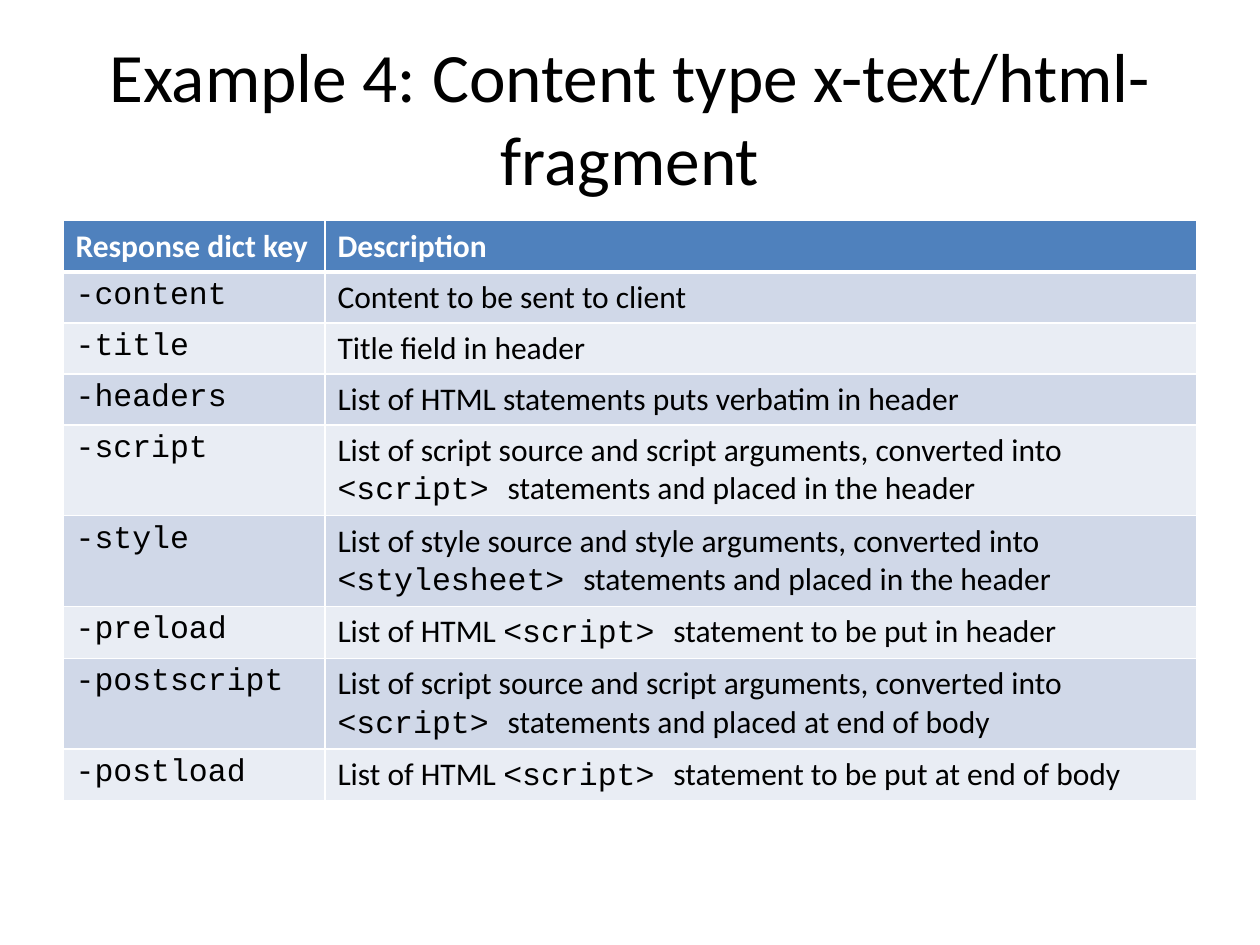
from lxml.etree import SubElement
from pptx import Presentation
from pptx.dml.color import RGBColor
from pptx.enum.text import MSO_ANCHOR, PP_ALIGN
from pptx.oxml.ns import qn
from pptx.util import Cm, Pt

TITLE = "Example 4: Content type x-text/html-fragment"
HEADINGS = ("Response dict key", "Description")
ENTRIES = [
    ("-content", ["Content to be sent to client"]),
    ("-title", ["Title field in header"]),
    ("-headers", ["List of HTML statements puts verbatim in header"]),
    ("-script", ["List of script source and script arguments, converted into ",
                 "<script> ", "statements and placed in the header"]),
    ("-style", ["List of style source and style arguments, converted into ",
                "<stylesheet> ", "statements and placed in the header"]),
    ("-preload", ["List of HTML ", "<script> ", "statement to be put in header"]),
    ("-postscript", ["List of script source and script arguments, converted into ",
                     "<script> ", "statements and placed at end of body"]),
    ("-postload", ["List of HTML ", "<script> ", "statement to be put at end of body"]),
]

BLACK = RGBColor(0x00, 0x00, 0x00)
WHITE = RGBColor(0xFF, 0xFF, 0xFF)
HEADER_BLUE = RGBColor(0x4F, 0x81, 0xBD)
BANDS = (RGBColor(0xD0, 0xD8, 0xE8), RGBColor(0xE9, 0xED, 0xF4))
BODY_FONT = "Calibri"
CODE_FONT = "Courier New"

LEFT = Cm(1.27)
TABLE_TOP = Cm(4.45)
COLUMN_WIDTHS = (Cm(5.28), Cm(17.58))
ROW_HEIGHT = Cm(1.03)


def format_span(span, font, size, color, bold=False):
    span.font.name = font
    span.font.size = Pt(size)
    span.font.color.rgb = color
    span.font.bold = bold


def draw_borders(cell, bottom_width):
    properties = cell._tc.get_or_add_tcPr()
    widths = {"a:lnL": 1, "a:lnR": 1, "a:lnT": 1, "a:lnB": bottom_width}
    for side, width in widths.items():
        line = SubElement(properties, qn(side), w=str(Pt(width)))
        fill = SubElement(line, qn("a:solidFill"))
        SubElement(fill, qn("a:srgbClr"), val=str(WHITE))


def fill_cell(cell, spans, background, color=BLACK, bold=False, bottom_width=1):
    draw_borders(cell, bottom_width)
    cell.fill.solid()
    cell.fill.fore_color.rgb = background
    para = cell.text_frame.paragraphs[0]
    for text, font in spans:
        span = para.add_run()
        span.text = text
        format_span(span, font, 18, color, bold)


def add_title(page):
    title = page.shapes.title
    title.left, title.top, title.width, title.height = LEFT, Cm(0.76), Cm(22.86), Cm(3.18)
    title.text_frame.text = TITLE
    title.text_frame.vertical_anchor = MSO_ANCHOR.MIDDLE
    para = title.text_frame.paragraphs[0]
    para.alignment = PP_ALIGN.CENTER
    format_span(para.runs[0], BODY_FONT, 39.6, BLACK)


def add_key_table(page):
    row_count = len(ENTRIES) + 1
    table = page.shapes.add_table(row_count, len(HEADINGS), LEFT, TABLE_TOP,
                                  sum(COLUMN_WIDTHS), ROW_HEIGHT * row_count).table
    for column, width in zip(table.columns, COLUMN_WIDTHS):
        column.width = width
    for column, heading in enumerate(HEADINGS):
        fill_cell(table.cell(0, column), [(heading, BODY_FONT)], HEADER_BLUE,
                  WHITE, bold=True, bottom_width=3)
    for row, (key, description) in enumerate(ENTRIES, start=1):
        band = BANDS[(row - 1) % 2]
        spans = [(text, CODE_FONT if index % 2 else BODY_FONT)
                 for index, text in enumerate(description)]
        fill_cell(table.cell(row, 0), [(key, CODE_FONT)], band)
        fill_cell(table.cell(row, 1), spans, band)


def main():
    deck = Presentation()
    deck.slide_width, deck.slide_height = Cm(25.4), Cm(19.05)
    page = deck.slides.add_slide(deck.slide_layouts[5])
    add_title(page)
    add_key_table(page)
    deck.save("out.pptx")


if __name__ == "__main__":
    main()
